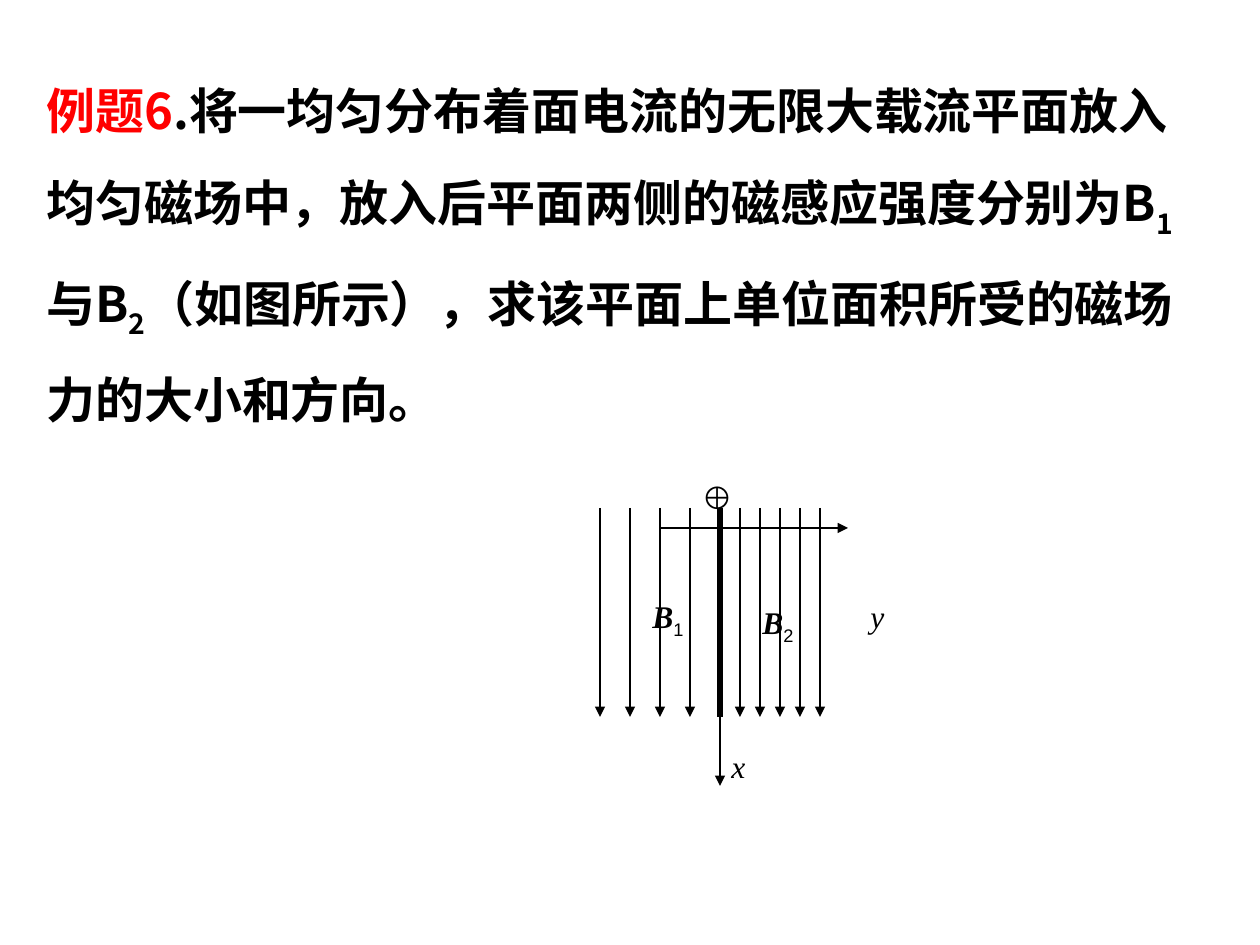
from lxml import etree
from pptx import Presentation
from pptx import util as u
from pptx.dml.color import RGBColor
from pptx.enum import shapes, text
from pptx.oxml.ns import qn

SANS, SERIF, CJK = "Arial", "Times New Roman", "Noto Sans CJK SC"
BLACK, RED = "000000", "FF0000"


def px(length):
    return u.Emu(round(length * 914400 / 126))


def color(value):
    return RGBColor.from_string(value)


def add_span(para, words, font=SANS, size=18, fill=BLACK, bold=False,
             italic=False, subscript=False):
    span = para.add_run()
    span.text = words
    span.font.name = font
    span.font.size = u.Pt(size)
    span.font.bold = bold
    span.font.italic = italic
    span.font.color.rgb = color(fill)
    properties = span._r.get_or_add_rPr()
    etree.SubElement(properties, qn("a:ea"), typeface=font)
    if subscript:
        properties.set("baseline", "-25000")


def add_text(parent, left, top, width, height, spans, line_spacing=None):
    """Add one paragraph made of (words, format) pairs."""
    box = parent.add_textbox(px(left), px(top), px(width), px(height))
    box.text_frame.word_wrap = True
    box.text_frame.auto_size = text.MSO_AUTO_SIZE.SHAPE_TO_FIT_TEXT
    para = box.text_frame.paragraphs[0]
    if line_spacing:
        para.line_spacing = line_spacing
    for words, style in spans:
        add_span(para, words, **style)


def add_line(parent, x1, y1, x2, y2, weight=0.75, arrow=True):
    line = parent.add_connector(shapes.MSO_CONNECTOR.STRAIGHT,
                                px(x1), px(y1), px(x2), px(y2))
    line.line.color.rgb = color(BLACK)
    line.line.width = u.Pt(weight)
    if arrow:
        etree.SubElement(line.line._get_or_add_ln(), qn("a:tailEnd"), type="triangle")
    etree.SubElement(line._element.spPr, qn("a:effectLst"))


def add_problem(page, left, top, width, height):
    body = dict(font=CJK, size=28, bold=True)
    below = dict(body, subscript=True)
    add_text(page.shapes, left, top, width, height, [
        ("例题6", dict(body, fill=RED)),
        (".将一均匀分布着面电流的无限大载流平面放入均匀磁场中，"
         "放入后平面两侧的磁感应强度分别为B", body),
        ("1", below),
        ("与B", body),
        ("2", below),
        ("（如图所示），求该平面上单位面积所受的磁场力的大小和方向。", body),
    ], line_spacing=1.5)


def add_field_diagram(page, left, top, field_height):
    """Draw the current sheet, the field lines on both sides and the axes."""
    parts = page.shapes.add_group_shape().shapes
    plane = left + 120
    bottom = top + field_height
    wide_gaps = [left + 30 * i for i in range(4)]
    narrow_gaps = [plane + 20 * i for i in range(1, 6)]
    for x in wide_gaps + narrow_gaps:
        add_line(parts, x, top, x, bottom)
    add_line(parts, plane, top, plane, bottom + 69)
    add_line(parts, plane, top, plane, bottom, weight=3, arrow=False)
    add_line(parts, plane - 60, top + 20, plane + 128, top + 20)

    axis = dict(font=SERIF, italic=True)
    vector = dict(axis, bold=True)
    below = dict(subscript=True)
    labels = [
        (258, 83, 59, [("y", axis)]),
        (119, 233, 40, [("x", axis)]),
        (89, -36, 69, [("⊕", {})]),
        (40, 83, 69, [("B", vector), ("1", below)]),
        (150, 89, 79, [("B", vector), ("2", below)]),
    ]
    for x, y, width, spans in labels:
        add_text(parts, left + x, top + y, width, 50, spans)


def main():
    deck = Presentation()
    deck.slide_width, deck.slide_height = px(1260), px(945)
    page = deck.slides.add_slide(deck.slide_layouts[6])
    add_problem(page, 34, 45, 1181, 367)
    add_field_diagram(page, 600, 508, 209)
    deck.save("out.pptx")


if __name__ == "__main__":
    main()
